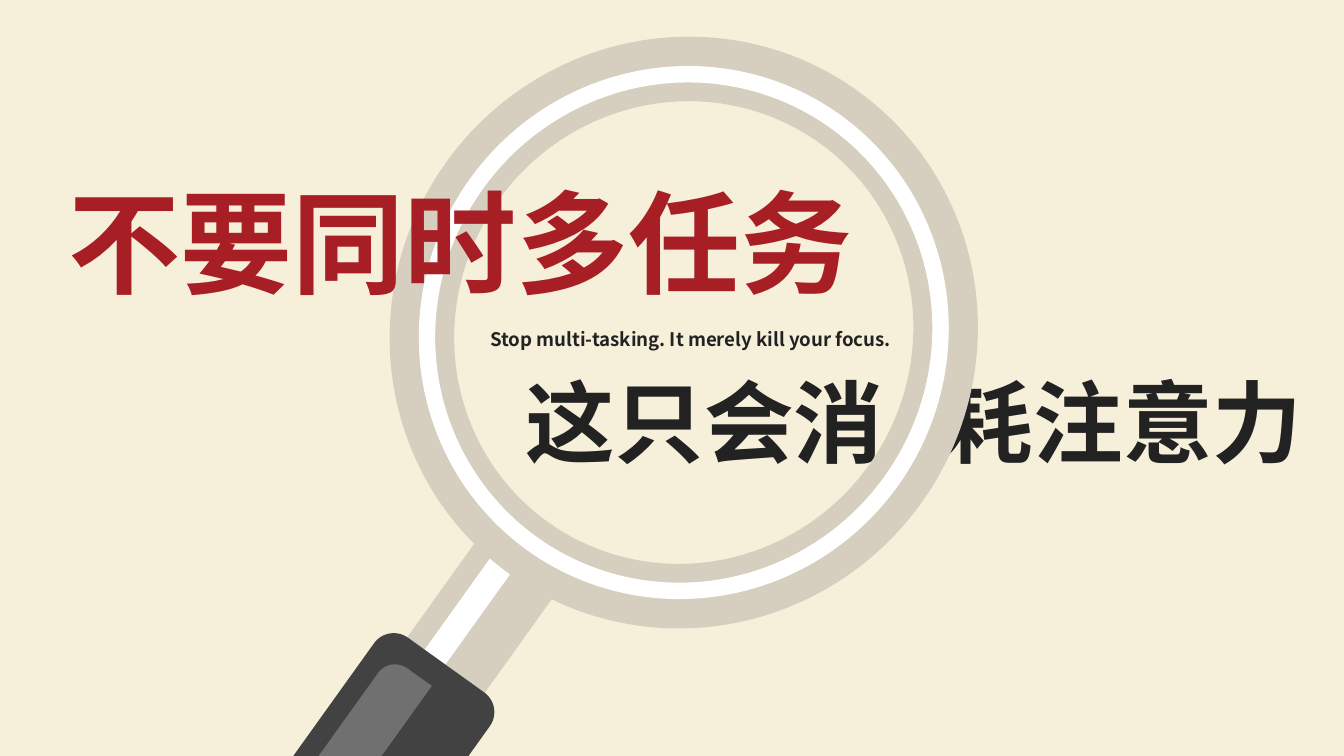
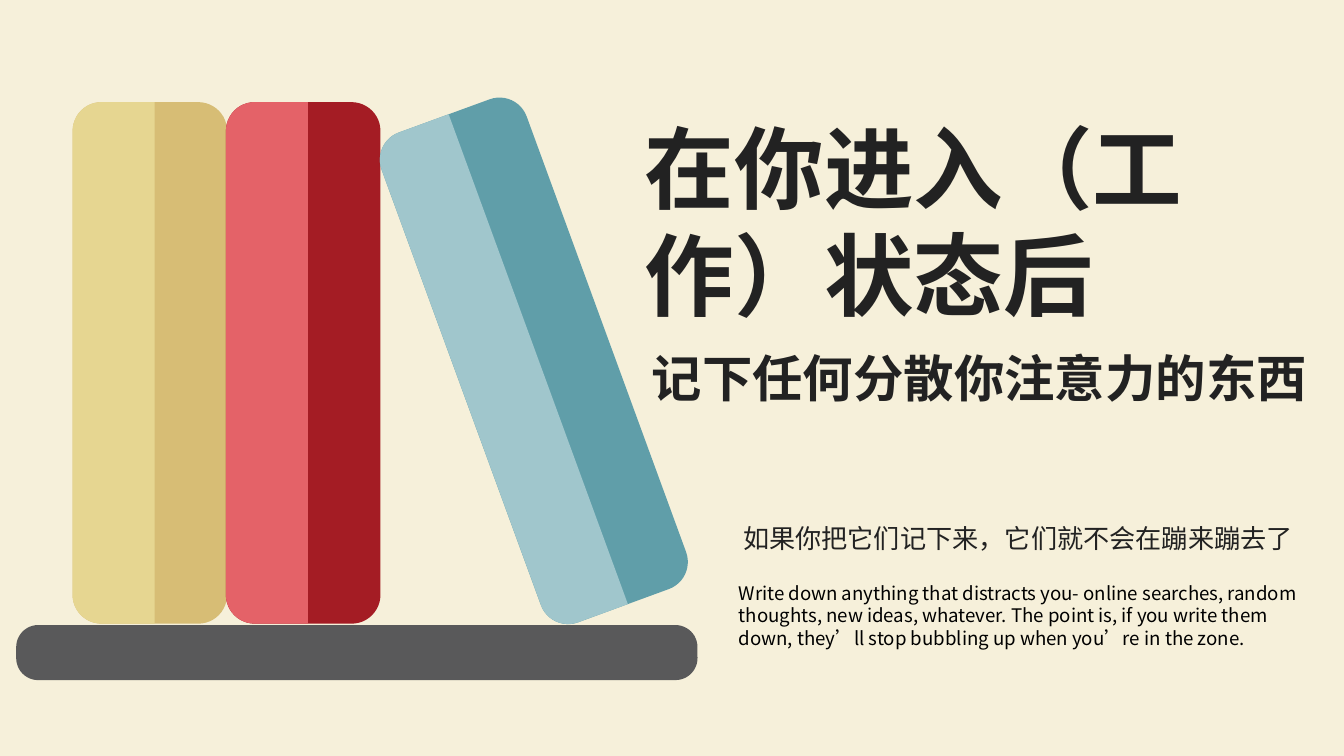
"""Build two slides on focus: a magnifying glass and a shelf of books."""
from dataclasses import dataclass
from math import cos, radians, sin

from lxml import etree
from pptx import Presentation
from pptx.dml.color import RGBColor
from pptx.enum import shapes
from pptx.oxml import ns
from pptx.util import Pt


@dataclass(frozen=True)
class Theme:
    font: str = "Noto Sans CJK SC"
    background: str = "F6F0DA"
    ink: str = "222222"
    black: str = "000000"
    accent: str = "A71E25"
    metal: str = "D6CFBF"
    shine: str = "FFFFFF"
    grip: str = "424242"
    ridge: str = "707070"
    shelf: str = "59595A"
    yellow_book: tuple = ("D7BD75", "E6D691")
    red_book: tuple = ("A41C24", "E46268")
    blue_book: tuple = ("609EA9", "A0C6CC")
    display: int = 60
    title: int = 48
    subtitle: int = 27
    body: int = 14
    small: int = 10


THEME = Theme()
KIND = shapes.MSO_SHAPE


def write(paragraph, content, size=THEME.body, color=THEME.ink, bold=False, tab=None):
    if tab:
        tabs = etree.SubElement(paragraph._p.get_or_add_pPr(), ns.qn("a:tabLst"))
        etree.SubElement(tabs, ns.qn("a:tab"), pos=str(Pt(tab)), algn="l")
    run = paragraph.add_run()
    run.text = content
    font = run.font
    font.size, font.bold, font.name = Pt(size), bold, THEME.font
    font.color.rgb = RGBColor.from_string(color)
    properties = run._r.get_or_add_rPr()
    properties.set("lang", "zh-CN")
    etree.SubElement(properties, ns.qn("a:ea"), typeface=THEME.font)


class Deck:
    def __init__(self, theme):
        self.theme = theme
        self.presentation = Presentation()
        self.presentation.slide_width = Pt(720)
        self.presentation.slide_height = Pt(405)
        self.slide = None

    def new_slide(self):
        self.slide = self.presentation.slides.add_slide(self.presentation.slide_layouts[6])
        fill = self.slide.background.fill
        fill.solid()
        fill.fore_color.rgb = RGBColor.from_string(self.theme.background)

    def text(self, left, top, width, height, content, spacing=None, **style):
        box = self.slide.shapes.add_textbox(Pt(left), Pt(top), Pt(width), Pt(height))
        box.text_frame.word_wrap = True
        paragraph = box.text_frame.paragraphs[0]
        if spacing:
            paragraph.line_spacing = spacing
        write(paragraph, content, **style)

    def shape(self, kind, center, size, color, angle=0, adjust=None):
        (x, y), (width, height) = center, size
        shape = self.slide.shapes.add_shape(
            kind, Pt(x - width / 2), Pt(y - height / 2), Pt(width), Pt(height))
        shape.rotation = angle
        shape.shadow.inherit = False
        shape.fill.solid()
        shape.fill.fore_color.rgb = RGBColor.from_string(color)
        shape.line.fill.background()
        if adjust is not None:
            shape.adjustments[0] = adjust

    def left_rounded(self, center, size, color, angle, radius):
        width, height = size
        self.shape(KIND.ROUND_2_SAME_RECTANGLE, center, (height, width), color,
                   angle - 90, radius / width)

    def ring(self, center, size, thickness, color, angle):
        self.shape(KIND.DONUT, center, size, color, angle, thickness / min(size))

    def magnifier(self, angle=35.6):
        theme, lens = self.theme, (366.3, 178.2)
        self.shape(KIND.RECTANGLE, (243, 350.6), (51.1, 134), theme.metal, angle)
        self.shape(KIND.RECTANGLE, (237.2, 346.3), (13.7, 134), theme.shine, angle)
        self.shape(KIND.ROUNDED_RECTANGLE, (192.2, 421.6), (76.3, 160.6), theme.grip, angle, 0.17)
        self.ring(lens, (313.2, 319), 34.6, theme.metal, angle)
        self.left_rounded((181.4, 413.6), (27.4, 133.2), theme.ridge, angle, 11)
        self.ring(lens, (282.2, 287.3), 8.8, theme.shine, angle)

    def book(self, x, y, colors, angle=0):
        width, height, light_width, radius = 82.8, 279.4, 43.9, 15.5
        dark, light = colors
        offset = (light_width - width) / 2
        light_center = (x + offset * cos(radians(angle)), y + offset * sin(radians(angle)))
        self.shape(KIND.ROUNDED_RECTANGLE, (x, y), (width, height), dark, angle, radius / width)
        self.left_rounded(light_center, (light_width, height), light, angle, radius)


def focus_slide(deck):
    theme = deck.theme
    deck.new_slide()
    deck.text(274.3, 193, 460, 65.5, "这只会消\t耗注意力", size=theme.title, bold=True, tab=224.3)
    deck.magnifier()
    deck.text(255.6, 172, 247.7, 19.4, "Stop multi-tasking. It merely kill your focus.",
              size=theme.small, bold=True)
    deck.text(29.5, 89.3, 438.5, 80, "不要同时多任务",
              size=theme.display, color=theme.accent, bold=True)


def books_slide(deck):
    theme = deck.theme
    deck.new_slide()
    deck.text(338.4, 56.9, 383.8, 123.8, "在你进入（工作）状态后", size=theme.title, bold=True)
    deck.text(388.8, 308.2, 321, 44,
              "Write down anything that distracts you- online searches, random thoughts, "
              "new ideas, whatever. The point is, if you write them down, they’ll stop "
              "bubbling up when you’re in the zone.", size=theme.small, color=theme.black)
    deck.text(391, 276.5, 317.5, 24.5, "如果你把它们记下来，它们就不会在蹦来蹦去了")
    deck.text(342, 182.2, 368.6, 40.3, "记下任何分散你注意力的东西",
              size=theme.subtitle, bold=True)
    deck.shape(KIND.ROUNDED_RECTANGLE, (191.2, 349.6), (365, 29.5), theme.shelf, adjust=0.4)
    deck.book(80.3, 194.4, theme.yellow_book)
    deck.book(162.4, 194.4, theme.red_book)
    deck.book(286, 193.3, theme.blue_book, angle=-20.1)


def main():
    deck = Deck(THEME)
    focus_slide(deck)
    books_slide(deck)
    deck.presentation.save("out.pptx")


if __name__ == "__main__":
    main()
